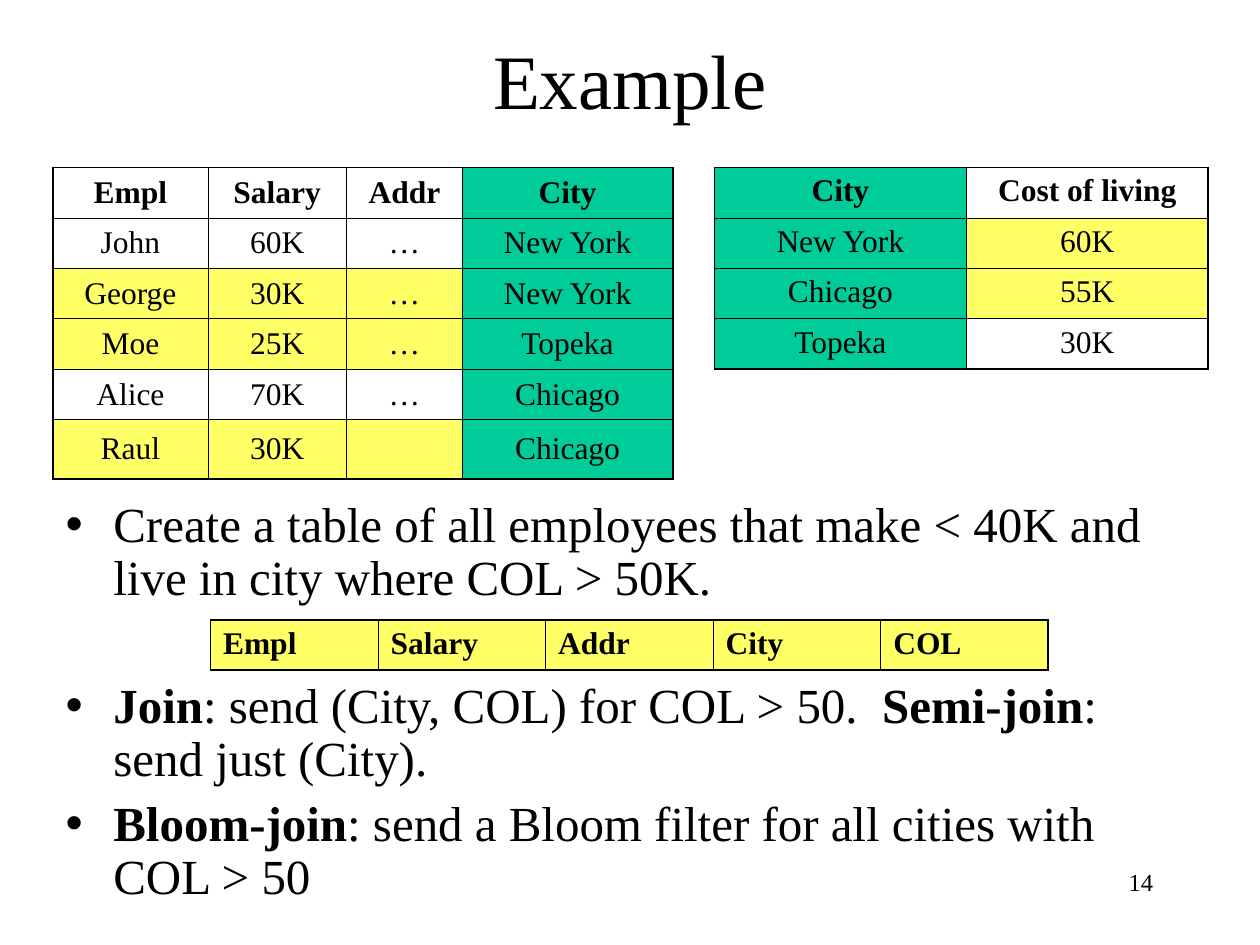
from dataclasses import dataclass

from lxml import etree
from pptx import Presentation
from pptx.dml.color import RGBColor
from pptx.enum import text as tx
from pptx.oxml import ns
from pptx.util import Inches, Pt

FONT = "Times New Roman"
COLORS = {"ink": "000000", "plain": "FFFFFF", "city": "00CC99", "pick": "FFFF66"}
LEFT, MID, RIGHT = tx.PP_ALIGN.LEFT, tx.PP_ALIGN.CENTER, tx.PP_ALIGN.RIGHT
TOP, CENTER = tx.MSO_ANCHOR.TOP, tx.MSO_ANCHOR.MIDDLE
ROW = 0.4
THICK, THIN = 1.08, 0.45


@dataclass
class Grid:
    """A table; each letter of a row's key names that cell's fill."""
    left: float
    top: float
    widths: list[float]
    rows: list[list[str]]
    keys: list[str]
    align: int = MID
    anchor: int = TOP
    last: float = ROW


KEYS = {"-": "plain", "c": "city", "y": "pick"}

STAFF = Grid(
    0.42, 1.33, [1.23, 1.1, 0.92, 1.67],
    [["Empl", "Salary", "Addr", "City"],
     ["John", "60K", "…", "New York"],
     ["George", "30K", "…", "New York"],
     ["Moe", "25K", "…", "Topeka"],
     ["Alice", "70K", "…", "Chicago"],
     ["Raul", "30K", "", "Chicago"]],
    ["---c", "---c", "yyyc", "yyyc", "---c", "yyyc"],
    anchor=CENTER, last=0.47)
COSTS = Grid(
    5.67, 1.33, [2, 1.92],
    [["City", "Cost of living"], ["New York", "60K"],
     ["Chicago", "55K"], ["Topeka", "30K"]],
    ["c-", "cy", "cy", "c-"])
RESULT = Grid(
    1.67, 4.92, [1.33] * 5,
    [["Empl", "Salary", "Addr", "City", "COL"]], ["yyyyy"], align=LEFT)

# Each point: space before, then (text, bold) runs
POINTS = [
    (7, [("Create a table of all employees that make < 40K and "
          "live in city where COL > 50K.", False)]),
    (43, [("Join", True), (": send (City, COL) for COL > 50.  ", False),
          ("Semi-join", True), (": send just (City).", False)]),
    (7, [("Bloom-join", True),
         (": send a Bloom filter for all cities with COL > 50", False)]),
]


def rgb(name: str) -> RGBColor:
    return RGBColor.from_string(COLORS[name])


def style(para, size: float, align: int) -> None:
    para.alignment = align
    para.font.name = FONT
    para.font.size = Pt(size)
    para.font.color.rgb = rgb("ink")


def place(shape, left: float, top: float, width: float, height: float) -> None:
    shape.left, shape.top = Inches(left), Inches(top)
    shape.width, shape.height = Inches(width), Inches(height)


def edge(cell, tag: str, width: float) -> None:
    line = etree.SubElement(cell._tc.get_or_add_tcPr(), ns.qn(f"a:{tag}"),
                            w=str(int(Pt(width))))
    fill = etree.SubElement(line, ns.qn("a:solidFill"))
    etree.SubElement(fill, ns.qn("a:srgbClr"), val=COLORS["ink"])


def draw_grid(slide, grid: Grid) -> None:
    rows, cols = len(grid.rows), len(grid.widths)
    high = ROW * (rows - 1) + grid.last
    table = slide.shapes.add_table(
        rows, cols, Inches(grid.left), Inches(grid.top),
        Inches(sum(grid.widths)), Inches(high)).table
    table.horz_banding = False
    for col, width in zip(table.columns, grid.widths):
        col.width = Inches(width)
    for r, (words, key) in enumerate(zip(grid.rows, grid.keys)):
        table.rows[r].height = Inches(grid.last if r == rows - 1 else ROW)
        for c, word in enumerate(words):
            cell = table.cell(r, c)
            outer = {"lnL": c == 0, "lnR": c == cols - 1,
                     "lnT": r == 0, "lnB": r == rows - 1}
            for tag, out in outer.items():
                edge(cell, tag, THICK if out else THIN)
            cell.fill.solid()
            cell.fill.fore_color.rgb = rgb(KEYS[key[c]])
            cell.vertical_anchor = grid.anchor
            cell.text = word
            para = cell.text_frame.paragraphs[0]
            style(para, 18, grid.align)
            para.space_before = Pt(4.5)
            para.font.bold = r == 0


def draw_title(slide) -> None:
    title = slide.shapes.title
    place(title, 0.5, 0, 9, 1.25)
    title.text = "Example"
    title.text_frame.vertical_anchor = CENTER
    style(title.text_frame.paragraphs[0], 44, MID)


def draw_points(slide) -> None:
    body = slide.placeholders[1]
    place(body, 0.42, 3.92, 9, 3.42)
    frame = body.text_frame
    frame.auto_size = tx.MSO_AUTO_SIZE.NONE
    for i, (gap, runs) in enumerate(POINTS):
        para = frame.add_paragraph() if i else frame.paragraphs[0]
        style(para, 28, LEFT)
        para.line_spacing = 0.9
        para.space_before = Pt(gap)
        props = para._p.get_or_add_pPr()
        props.set("marL", str(Inches(0.38)))
        props.set("indent", str(Inches(-0.38)))
        for word, bold in runs:
            run = para.add_run()
            run.text = word
            run.font.bold = bold


def draw_number(slide) -> None:
    box = slide.shapes.add_textbox(
        Inches(7.17), Inches(6.83), Inches(2.08), Inches(0.5))
    box.text_frame.word_wrap = True
    box.text_frame.text = "14"
    style(box.text_frame.paragraphs[0], 14, RIGHT)


def main() -> None:
    deck = Presentation()
    deck.slide_width, deck.slide_height = Inches(10), Inches(7.5)
    slide = deck.slides.add_slide(deck.slide_layouts[1])
    draw_title(slide)
    draw_points(slide)
    for grid in (STAFF, COSTS, RESULT):
        draw_grid(slide, grid)
    draw_number(slide)
    deck.save("out.pptx")


if __name__ == "__main__":
    main()
